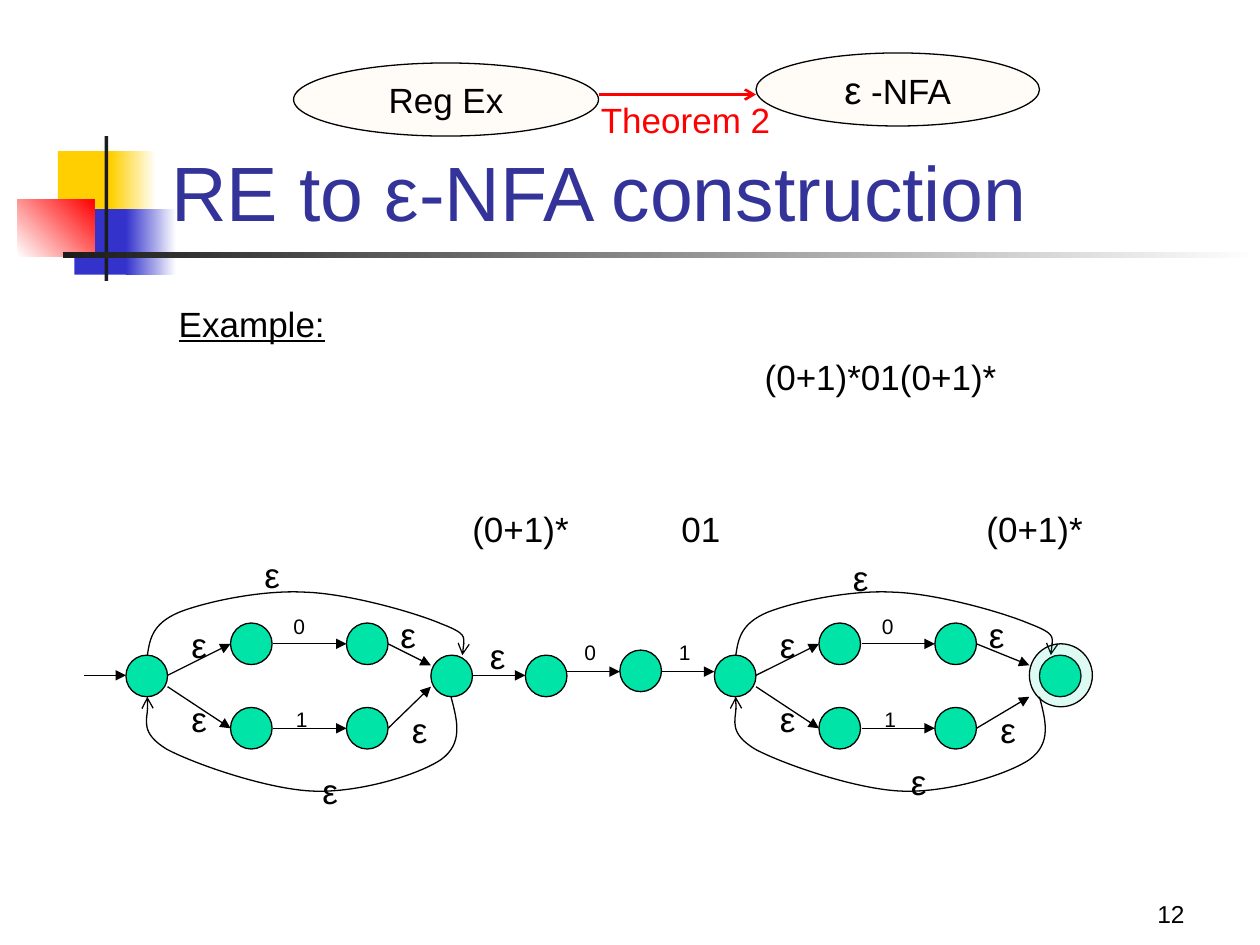
from lxml import etree
from pptx import Presentation
from pptx import util as u
from pptx.dml import color as dml
from pptx.enum import shapes, text
from pptx.oxml import ns

COLORS = {
    "black": "000000", "red": "FF0000", "title": "333399", "state": "00E4A8",
    "oval": "FFCC99", "yellow": "FFCF01", "blue": "3333CC", "dark": "1C1C1C",
    "white": "FFFFFF",
}
STATE_SIZE = 0.33
EPSILON = "ε"


def rgb(name):
    return dml.RGBColor.from_string(COLORS[name])


def boxed(*lengths):
    return [u.Inches(length) for length in lengths]


def style_runs(paragraph, size, color="black"):
    for run in paragraph.runs:
        run.font.size = u.Pt(size)
        run.font.name = "Arial"
        run.font.color.rgb = rgb(color)


def add_label(slide, words, left, top, width=0.32, height=0.43, size=20,
              color="black", anchor=text.MSO_ANCHOR.TOP, wrap=False):
    label = slide.shapes.add_textbox(*boxed(left, top, width, height))
    frame = label.text_frame
    frame.word_wrap = wrap
    frame.vertical_anchor = anchor
    frame.text = words
    style_runs(frame.paragraphs[0], size, color)
    return label


def add_symbol(slide, symbol, left, top):
    add_label(slide, symbol, left, top, 0.29, 0.3, 12)


def add_block(slide, box, color, end_color=None, angle=0):
    block = slide.shapes.add_shape(shapes.MSO_SHAPE.RECTANGLE, *boxed(*box))
    block.shadow.inherit = False
    block.line.fill.background()
    if end_color is None:
        block.fill.solid()
        block.fill.fore_color.rgb = rgb(color)
        return
    block.fill.gradient()
    block.fill.gradient_angle = angle
    for stop, name in zip(block.fill.gradient_stops, (color, end_color)):
        stop.color.rgb = rgb(name)


def add_ellipse(slide, box, color, opacity=100):
    ellipse = slide.shapes.add_shape(shapes.MSO_SHAPE.OVAL, *boxed(*box))
    ellipse.shadow.inherit = False
    ellipse.fill.solid()
    ellipse.fill.fore_color.rgb = rgb(color)
    ellipse.line.color.rgb = rgb("black")
    ellipse.line.width = u.Pt(0.75)
    if opacity < 100:
        tint = ellipse.fill._xPr.find(".//" + ns.qn("a:srgbClr"))
        etree.SubElement(tint, ns.qn("a:alpha"), val=str(opacity * 1000))
    return ellipse


def add_state(slide, left, top):
    add_ellipse(slide, (left, top, STATE_SIZE, STATE_SIZE), "state")


def add_model(slide, box, parts):
    ellipse = add_ellipse(slide, box, "oval", 8)
    frame = ellipse.text_frame
    frame.word_wrap = False
    frame.vertical_anchor = text.MSO_ANCHOR.MIDDLE
    paragraph = frame.paragraphs[0]
    paragraph.alignment = text.PP_ALIGN.CENTER
    for words, _ in parts:
        paragraph.add_run().text = words
    style_runs(paragraph, 20)
    for run, (_, size) in zip(paragraph.runs, parts):
        run.font.size = u.Pt(size)


def set_arrowhead(shape, kind):
    line = shape.line._get_or_add_ln()
    etree.SubElement(line, ns.qn("a:tailEnd"), type=kind)


def add_arrow(slide, start, end, color="black", width=0.75, kind="triangle"):
    arrow = slide.shapes.add_connector(
        shapes.MSO_CONNECTOR.STRAIGHT, *boxed(*start, *end))
    arrow.line.color.rgb = rgb(color)
    arrow.line.width = u.Pt(width)
    set_arrowhead(arrow, kind)
    etree.SubElement(arrow._element.spPr, ns.qn("a:effectLst"))


def add_curve(slide, points, offset):
    moved = [boxed(x + offset, y) for x, y in points]
    builder = slide.shapes.build_freeform(*moved[0])
    builder.add_line_segments(moved[1:], close=False)
    curve = builder.convert_to_shape()
    curve.shadow.inherit = False
    curve.fill.background()
    curve.line.color.rgb = rgb("black")
    curve.line.width = u.Pt(0.75)
    set_arrowhead(curve, "arrow")
    outline = curve._element.find(".//" + ns.qn("a:path"))
    segments = outline.findall(ns.qn("a:lnTo"))
    for first in range(0, len(segments), 3):
        bezier = etree.SubElement(outline, ns.qn("a:cubicBezTo"))
        for segment in segments[first:first + 3]:
            bezier.append(segment[0])
            outline.remove(segment)


def add_decoration(slide):
    add_block(slide, (0.46, 1.2, 0.48, 0.52), "yellow")
    add_block(slide, (0.88, 1.2, 0.36, 0.52), "yellow", "white")
    add_block(slide, (0.59, 1.66, 0.46, 0.52), "blue")
    add_block(slide, (1, 1.66, 0.4, 0.52), "blue", "white")
    add_block(slide, (0.14, 1.58, 0.61, 0.46), "white", "red", 45)
    add_block(slide, (0.83, 1.08, 0.03, 1.15), "dark")
    add_block(slide, (0.5, 2, 9.5, 0.05), "dark", "white")


def add_star(slide, offset, end_state, upper_tip, lower_tip, upper_label, lower_label):
    add_state(slide, 1 + offset, 5.2)
    add_state(slide, end_state, 5.2)
    branches = (("0", 5.11, 5.36, upper_tip, 2.23, 4.82),
                ("1", 5.78, 5.45, lower_tip, 2.25, 5.56))
    for symbol, middle, fork, tip, left, top in branches:
        for state_left in (1.83, 2.75):
            add_state(slide, state_left + offset, middle - STATE_SIZE / 2)
        add_arrow(slide, (1.33 + offset, fork), (1.83 + offset, middle))
        add_arrow(slide, (2.17 + offset, middle), (2.75 + offset, middle))
        add_arrow(slide, (3.08 + offset, middle), tip)
        add_symbol(slide, symbol, left + offset, top)
    for left, top in ((1.42, 4.9), (1.42, 5.49), (3.08, 4.82), (3.17, 5.57),
                      (2, upper_label), (2.46, lower_label)):
        add_label(slide, EPSILON, left + offset, top)
    add_curve(slide, [(3.58, 5.53), (3.63, 5.72), (3.68, 5.9), (3.5, 6.03),
                      (3.32, 6.15), (2.86, 6.29), (2.5, 6.28),
                      (2.14, 6.27), (1.56, 6.07), (1.33, 5.95),
                      (1.11, 5.82), (1.19, 5.6), (1.17, 5.53)], offset)
    add_curve(slide, [(1.17, 5.2), (1.19, 5.07), (1.21, 4.95), (1.42, 4.86),
                      (1.62, 4.78), (2.07, 4.68), (2.42, 4.7),
                      (2.76, 4.71), (3.29, 4.86), (3.5, 4.95),
                      (3.71, 5.03), (3.69, 5.11), (3.67, 5.2)], offset)


def add_concatenation(slide):
    add_arrow(slide, (0.67, 5.36), (1, 5.36))
    add_arrow(slide, (3.75, 5.36), (4.17, 5.36))
    add_label(slide, EPSILON, 3.79, 4.99)
    add_state(slide, 4.17, 5.2)
    add_state(slide, 4.92, 5.16)
    for symbol, left in (("0", 4.5), ("1", 5.25)):
        add_arrow(slide, (left, 5.33), (left + 0.42, 5.33))
        add_symbol(slide, symbol, left + 0.04, 5.03)


def main():
    presentation = Presentation()
    presentation.slide_width = u.Inches(10)
    presentation.slide_height = u.Inches(7.5)
    slide = presentation.slides.add_slide(presentation.slide_layouts[6])

    add_decoration(slide)
    number = add_label(slide, "12", 7.42, 6.92, 2.08, 0.5, 14,
                       anchor=text.MSO_ANCHOR.BOTTOM, wrap=True)
    number.text_frame.paragraphs[0].alignment = text.PP_ALIGN.RIGHT
    add_label(slide, "RE to ε-NFA construction", 1.26, 0.68, 8.52, 1.25,
              44, "title", text.MSO_ANCHOR.BOTTOM, wrap=True)

    add_model(slide, (6, 0.42, 2.25, 0.58), [(EPSILON, 22), (" -NFA", 20)])
    add_model(slide, (2.33, 0.5, 2.42, 0.58), [("Reg Ex", 20)])
    add_arrow(slide, (4.75, 0.75), (6, 0.75), "red", 1.5, "arrow")
    add_label(slide, "Theorem 2", 4.67, 0.73, 1.55, color="red")

    example = add_label(slide, "Example:", 1.32, 2.35, 1.36)
    example.text_frame.paragraphs[0].runs[0].font.underline = True
    add_label(slide, "(0+1)*01(0+1)*", 5.97, 2.77, 2.75, wrap=True)
    for part, left, width in (("(0+1)*", 3.65, 1.25), ("01", 5.31, 0.83),
                              ("(0+1)*", 7.73, 1.25)):
        add_label(slide, part, left, 3.98, width, wrap=True)

    add_star(slide, 0, 3.42, (3.42, 5.28), (3.42, 5.45), 4.34, 6.06)
    add_concatenation(slide)
    add_star(slide, 4.67, 8.25, (8.17, 5.28), (8.17, 5.53), 4.37, 5.99)
    add_ellipse(slide, (8.17, 5.11, 0.5, 0.5), "state", 13)

    presentation.save("out.pptx")


if __name__ == "__main__":
    main()
